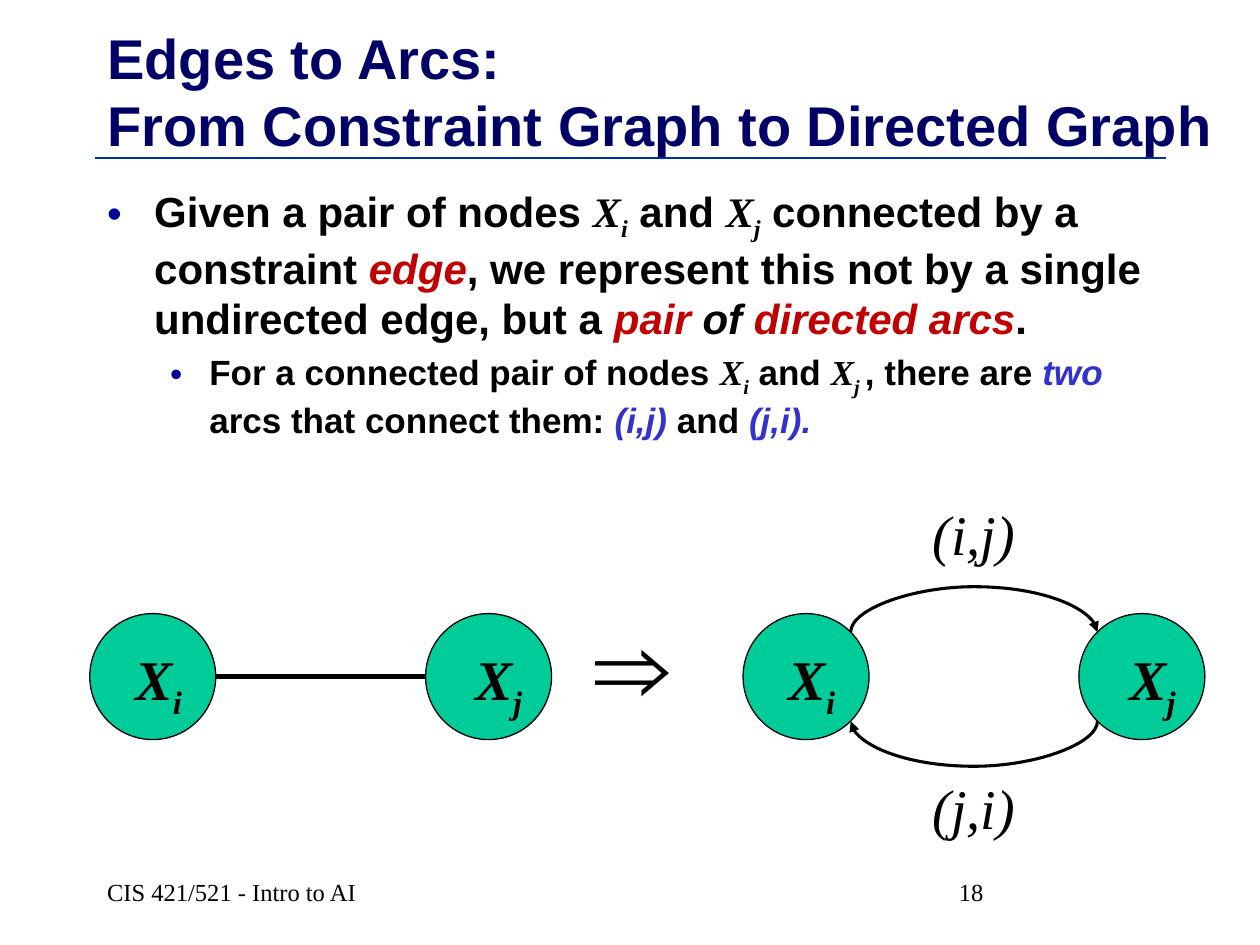
import math

from lxml import etree
from pptx import Presentation
from pptx import util as u
from pptx.dml.color import RGBColor
from pptx.enum import shapes, text
from pptx.oxml.ns import qn

Cm, Pt = u.Cm, u.Pt
SANS, SERIF = "Arial", "Times New Roman"
BLACK, RED, BLUE = "000000", "C00000", "3333CC"
NODE = 2.54      # node diameter
PITCH = 6.77     # distance between the nodes of a pair
BEND = 228       # depth of an arc, in multiples of its thin box


def rgb(value):
    return RGBColor.from_string(value)


def sub(parent, tag, **attrs):
    return etree.SubElement(parent, qn(tag), attrs)


def set_font(target, size, name=SANS, color=BLACK, bold=None, italic=None):
    f = target.font
    f.size, f.name, f.bold, f.italic = Pt(size), name, bold, italic
    f.color.rgb = rgb(color)


def add_text_box(slide, x, y, w, h, wrap=True, anchor=text.MSO_ANCHOR.TOP):
    tf = slide.shapes.add_textbox(Cm(x), Cm(y), Cm(w), Cm(h)).text_frame
    tf.word_wrap, tf.vertical_anchor = wrap, anchor
    return tf


def add_run(p, words, name=None, color=None, italic=None, subscript=False):
    r = p.add_run()
    r.text = words
    r.font.name, r.font.italic = name, italic
    if color:
        r.font.color.rgb = rgb(color)
    if subscript:
        r.font._element.set("baseline", "-25000")


def add_variable(p, index):
    """Write X with a subscript index."""
    add_run(p, "X", SERIF, italic=True)
    add_run(p, index, SERIF, italic=True, subscript=True)


def add_line(slide, kind, x1, y1, x2, y2, color, width):
    line = slide.shapes.add_connector(kind, x1, y1, x2, y2)
    line.line.color.rgb, line.line.width = rgb(color), Pt(width)
    sub(line._element.spPr, "a:effectLst")
    return line


def add_title(slide, x, y, w, h):
    sp = slide.shapes.title
    sp.left, sp.top, sp.width, sp.height = Cm(x), Cm(y), Cm(w), Cm(h)
    tf = sp.text_frame
    tf.text = "Edges to Arcs:\vFrom Constraint Graph to Directed Graph"
    tf.auto_size = text.MSO_AUTO_SIZE.NONE
    tf.vertical_anchor = text.MSO_ANCHOR.MIDDLE
    p = tf.paragraphs[0]
    p.alignment = text.PP_ALIGN.LEFT
    set_font(p, 32, color="000066", bold=True)
    rule_y = Cm(3.18)
    add_line(slide, shapes.MSO_CONNECTOR.STRAIGHT, Cm(x), rule_y, Cm(x + 21.59), rule_y,
             "003399", 1)


def format_bullet(p, level, size, margin, hanging):
    p.level, p.space_before = level, Pt(size * 0.2)
    set_font(p, size, bold=True)
    pPr = p._p.get_or_add_pPr()
    pPr.set("marL", str(Cm(margin)))
    pPr.set("indent", str(-Cm(hanging)))
    bullet = [sub(sub(pPr, "a:buClr"), "a:srgbClr", val="000099").getparent(),
              sub(pPr, "a:buFont", typeface=SANS), sub(pPr, "a:buChar", char="•")]
    default = pPr.find(qn("a:defRPr"))
    for element in bullet:
        default.addprevious(element)


def add_body(slide, x, y, w, h):
    tf = add_text_box(slide, x, y, w, h)
    p = tf.paragraphs[0]
    format_bullet(p, 0, 24, 0.95, 0.95)
    add_run(p, "Given a pair of nodes ")
    add_variable(p, "i")
    add_run(p, " and ")
    add_variable(p, "j")
    add_run(p, " connected by a constraint ")
    add_run(p, "edge", color=RED, italic=True)
    add_run(p, ", we represent this not by a single undirected edge, but a ")
    add_run(p, "pair", color=RED, italic=True)
    add_run(p, " of ", italic=True)
    add_run(p, "directed arcs", color=RED, italic=True)
    add_run(p, ".")

    p = tf.add_paragraph()
    format_bullet(p, 1, 20, 2.06, 0.79)
    add_run(p, "For a connected pair of nodes ")
    add_variable(p, "i")
    add_run(p, " and ")
    add_variable(p, "j ")
    add_run(p, ", there are ")
    add_run(p, "two ", color=BLUE, italic=True)
    add_run(p, "arcs that connect them: ")
    add_run(p, "(i,j) ", color=BLUE, italic=True)
    add_run(p, "and ")
    add_run(p, "(j,i).", color=BLUE, italic=True)


def add_node_pair(slide, x, y):
    for i, (index, label_w) in enumerate((("i", 1.52), ("j", 1.7))):
        left = x + i * PITCH
        sp = slide.shapes.add_shape(shapes.MSO_SHAPE.OVAL, Cm(left), Cm(y), Cm(NODE), Cm(NODE))
        sp.shadow.inherit = False
        sp.fill.solid()
        sp.fill.fore_color.rgb = rgb("00CC99")
        sp.line.color.rgb, sp.line.width = rgb(BLACK), Pt(0.75)
        p = add_text_box(slide, left + 0.63, y + 0.5, label_w, 1.63, False).paragraphs[0]
        p.alignment = text.PP_ALIGN.CENTER
        set_font(p, 32, SERIF, bold=True, italic=True)
        add_variable(p, index)


def add_undirected_graph(slide, x, y):
    add_node_pair(slide, x, y)
    mid = Cm(y + NODE / 2)
    add_line(slide, shapes.MSO_CONNECTOR.STRAIGHT, Cm(x + NODE), mid, Cm(x + PITCH), mid, BLACK, 3)


def add_arc(slide, cx, y, span, upward):
    """Add a curved arrow, drawn as a thin upright box turned by 90 degrees."""
    ends = [Cm(y - span / 2), Cm(y + span / 2)]
    start, end = reversed(ends) if upward else ends
    thin = u.Emu(1588)
    arc = add_line(slide, shapes.MSO_CONNECTOR.CURVE, Cm(cx), start, Cm(cx) + thin, end, BLACK, 1.75)
    spPr = arc._element.spPr
    spPr.find(qn("a:xfrm")).set("rot", "5400000")
    geometry = spPr.find(qn("a:prstGeom"))
    guides = geometry.find(qn("a:avLst"))
    if guides is None:
        guides = sub(geometry, "a:avLst")
    bend = -BEND if upward else BEND
    sub(guides, "a:gd", name="adj1", fmla=f"val {bend * 100000}")
    sub(spPr.find(qn("a:ln")), "a:tailEnd", type="triangle")


def add_directed_graph(slide, x, y):
    add_node_pair(slide, x, y)
    cx, cy = x + (NODE + PITCH) / 2, y + NODE / 2
    diagonal = NODE / 2 * math.sqrt(0.5)
    for words, side, label_y in (("(i,j)", -1, -2.42), ("(j,i)", 1, 3.09)):
        add_arc(slide, cx, cy + side * diagonal, PITCH - 2 * diagonal, side < 0)
        p = add_text_box(slide, cx - 1.17, y + label_y, 2.34, 1.6, False).paragraphs[0]
        p.text, p.alignment = words, text.PP_ALIGN.CENTER
        set_font(p, 32, SERIF, italic=True)


def add_implies(slide, x, y, w, h):
    p = add_text_box(slide, x, y, w, h).paragraphs[0]
    p.text = "⇒"
    set_font(p, 60, SERIF, bold=True)


def add_footer(slide, x, y, h):
    for words, dx, w in (("CIS 421/521 - Intro to AI", 0, 6.55), ("18", 17.17, 4.4)):
        p = add_text_box(slide, x + dx, y, w, h, True, text.MSO_ANCHOR.MIDDLE).paragraphs[0]
        p.text = words
        set_font(p, 14, SERIF)


def main():
    prs = Presentation()
    prs.slide_width, prs.slide_height = Cm(25.4), Cm(19.05)
    slide = prs.slides.add_slide(prs.slide_layouts[5])
    add_title(slide, 1.91, 1.19, 23.29, 1.27)
    add_body(slide, 1.91, 3.61, 21.59, 6.35)
    add_undirected_graph(slide, 1.81, 12.37)
    add_implies(slide, 11.73, 11.96, 2.59, 2.82)
    add_directed_graph(slide, 14.98, 12.37)
    add_footer(slide, 1.91, 17.35, 1.27)
    prs.save("out.pptx")


if __name__ == "__main__":
    main()
